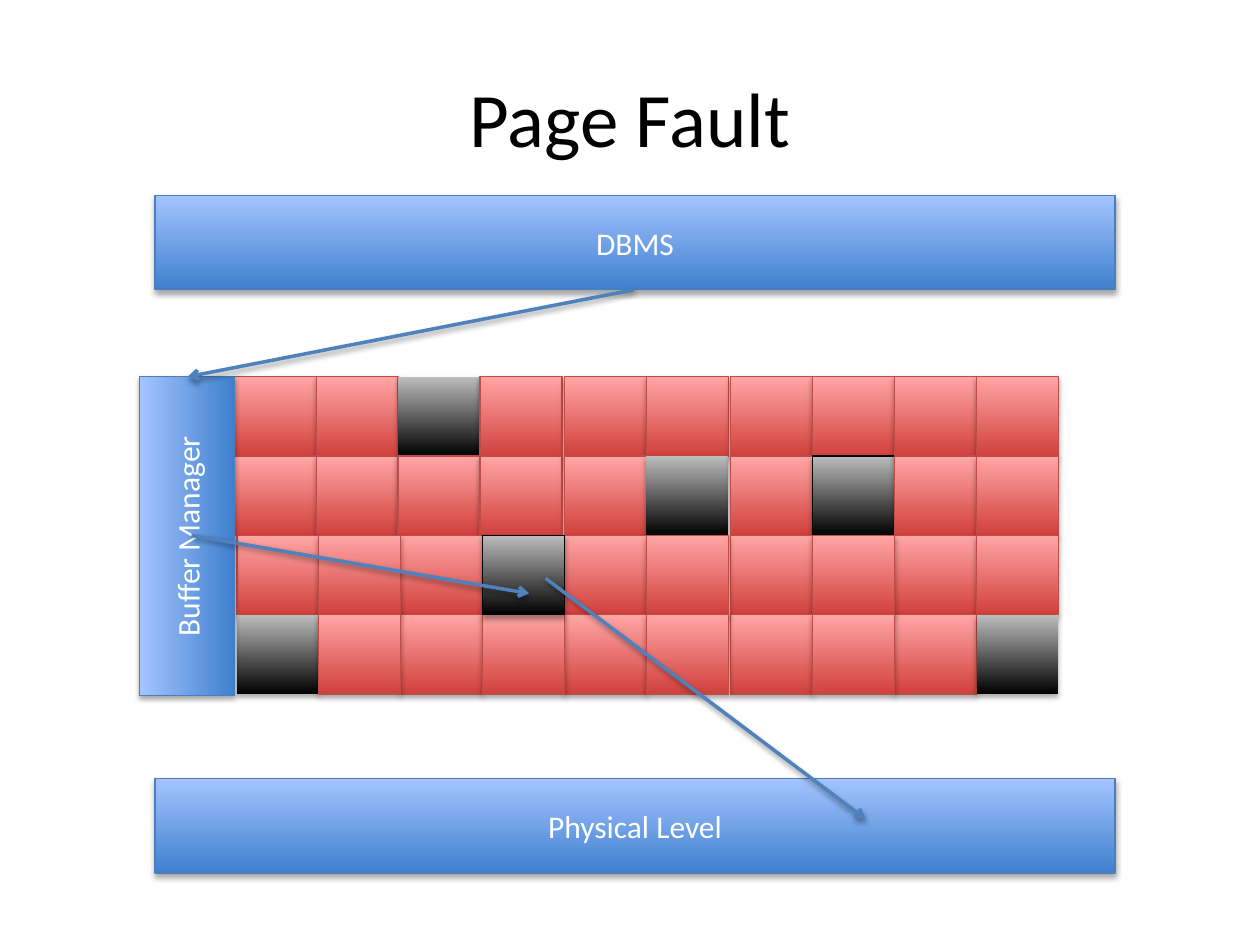
from lxml import etree
from pptx import Presentation
from pptx.dml.color import RGBColor
from pptx.enum.shapes import MSO_CONNECTOR, MSO_SHAPE
from pptx.enum.text import MSO_ANCHOR, PP_ALIGN
from pptx.oxml import parse_xml
from pptx.oxml.ns import nsdecls, qn
from pptx.util import Inches, Pt

RECT = MSO_SHAPE.RECTANGLE
STRAIGHT = MSO_CONNECTOR.STRAIGHT
MIDDLE = MSO_ANCHOR.MIDDLE
CENTER = PP_ALIGN.CENTER

BLACK = RGBColor(0x00, 0x00, 0x00)
GREY = RGBColor(0xBD, 0xBD, 0xBD)
WHITE = RGBColor(0xFF, 0xFF, 0xFF)
RED = RGBColor(0xD1, 0x40, 0x3C)
PINK = RGBColor(0xFF, 0xA6, 0xA5)
RED_EDGE = RGBColor(0xBF, 0x4C, 0x48)
BLUE = RGBColor(0x3F, 0x80, 0xCE)
SKY = RGBColor(0xA4, 0xC4, 0xFF)
BLUE_EDGE = RGBColor(0x4B, 0x7E, 0xBC)
ARROW = RGBColor(0x4F, 0x81, 0xBD)

prs = Presentation()
prs.slide_width, prs.slide_height = Inches(10), Inches(7.5)
slide = prs.slides.add_slide(prs.slide_layouts[6])
shapes = slide.shapes


def add_shadow(item, alpha, dist):
    item._element.spPr.append(parse_xml(
        f'<a:effectLst {nsdecls("a")}>'
        f'<a:outerShdw blurRad="{Pt(3.15)}" dist="{Pt(dist)}" dir="5400000" rotWithShape="0">'
        f'<a:srgbClr val="000000"><a:alpha val="{alpha * 1000}"/></a:srgbClr>'
        '</a:outerShdw></a:effectLst>'))


def add_box(left, top, width, height, low, high, edge):
    box = shapes.add_shape(RECT, Inches(left), Inches(top), Inches(width), Inches(height))
    box.fill.gradient()
    box.fill.gradient_angle = 90
    for stop, color in zip(box.fill.gradient_stops, (low, high)):
        stop.color.rgb = color
    if edge is None:
        box.line.fill.background()
    else:
        box.line.color.rgb = edge
        box.line.width = Pt(0.75)
    add_shadow(box, 35, 1.8)
    return box


# Page frames: two blocks of two rows, each made of column pairs
SIDE, STEP = 0.65, 0.63
TOP = 2.99
BLOCKS = (
    (0, ((0, 1.86), (2, 3.16), (4, 4.48), (6, 5.8), (8, 7.1))),
    (2, ((8, 7.1), (6, 5.8), (4, 4.48), (2, 3.18), (0, 1.88))),
)
USED = {(0, 2): None, (1, 5): None, (1, 7): BLACK, (3, 0): None, (3, 9): None}
FAULT = (2, 3)
for first, pairs in BLOCKS:
    for start, left in pairs:
        for row in (first, first + 1):
            for col in (start, start + 1):
                spot = (left + (col - start) * SIDE, TOP + row * STEP, SIDE, STEP)
                if (row, col) == FAULT:
                    target = spot
                elif (row, col) in USED:
                    add_box(*spot, BLACK, GREY, USED[row, col])
                else:
                    add_box(*spot, RED, PINK, RED_EDGE)

# Title
title = shapes.add_textbox(Inches(0.5), Inches(0.3), Inches(9), Inches(1.25))
labels = [(title, "Page Fault", 44, BLACK)]

# Layers
for name, left, top, width, turn in (
    ("Physical Level", 1.23, 6.18, 7.62, 0),
    ("DBMS", 1.23, 1.55, 7.62, 0),
    ("Buffer Manager", 0.22, 3.88, 2.53, 270),
):
    bar = add_box(left, top, width, 0.75, BLUE, SKY, BLUE_EDGE)
    bar.rotation = turn
    labels.append((bar, name, 18, WHITE))

# Labels
for box, text, size, color in labels:
    frame = box.text_frame
    frame.word_wrap = True
    frame.vertical_anchor = MIDDLE
    para = frame.paragraphs[0]
    para.alignment = CENTER
    run = para.add_run()
    run.text = text
    run.font.name = "Calibri"
    run.font.size = Pt(size)
    run.font.color.rgb = color

# Faulting frame and the request path
for x1, y1, x2, y2 in (
    (5.03, 2.3, 1.49, 2.99),
    (1.52, 4.25, 4.2, 4.71),
    (4.33, 4.59, 6.87, 6.5),
):
    link = shapes.add_connector(STRAIGHT, Inches(x1), Inches(y1), Inches(x2), Inches(y2))
    link.line.color.rgb = ARROW
    link.line.width = Pt(2)
    etree.SubElement(link.line._get_or_add_ln(), qn("a:tailEnd"), type="arrow")
    add_shadow(link, 38, 1.6)
    if y1 == 2.3:
        add_box(*target, BLACK, GREY, BLACK)

prs.save("out.pptx")
